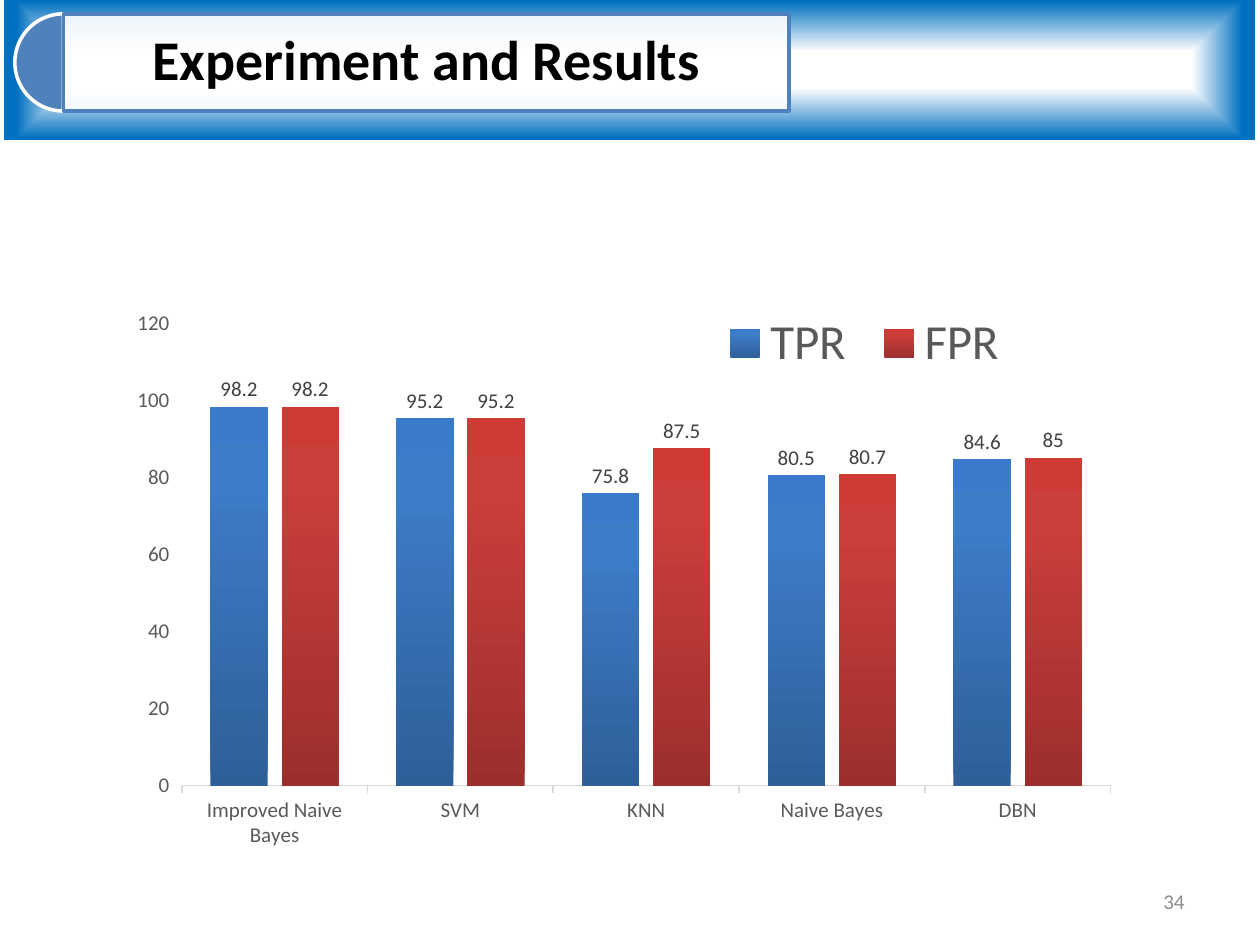
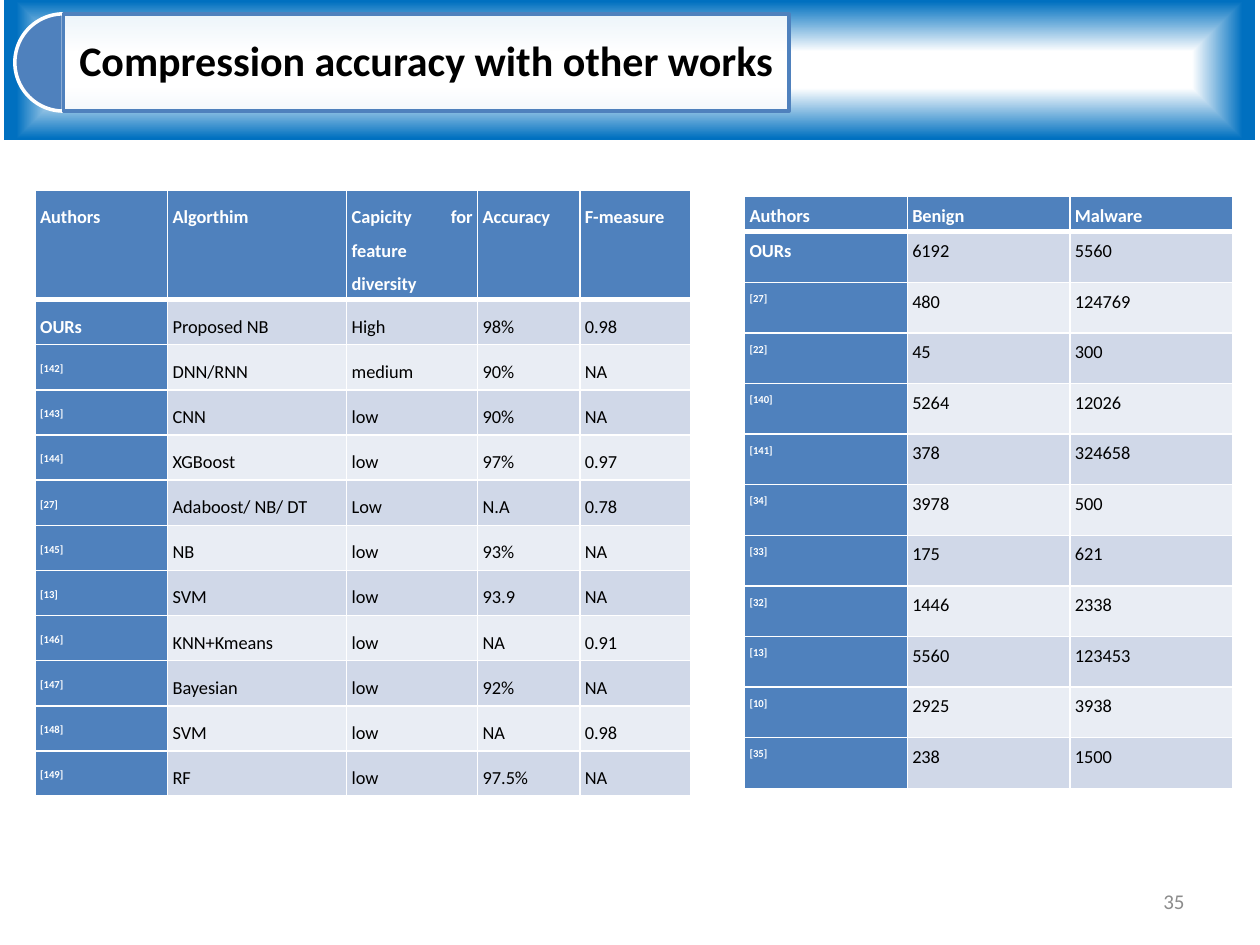
import pptx
import pptx.chart.data
import pptx.dml.color
import pptx.enum.chart
import pptx.enum.shapes
import pptx.enum.text
import pptx.oxml.ns
import pptx.oxml.xmlchemy
import pptx.util

Cm = pptx.util.Cm
Pt = pptx.util.Pt
qn = pptx.oxml.ns.qn
SHAPE = pptx.enum.shapes.MSO_SHAPE
ALIGN = pptx.enum.text.PP_ALIGN
MIDDLE = pptx.enum.text.MSO_ANCHOR.MIDDLE

FONT = "Calibri"
WHITE, BLACK, BLUE, SKY = "FFFFFF", "000000", "4F81BD", "0070C0"
GREY, DARK, PALE, RULE = "595959", "404040", "8C8C8C", "D9D9D9"
BANDS = ("D0D8E8", "E9EDF4")

BAND = (0.08, 0, 25.22, 2.82)
PAGE = (18.21, 17.65, 5.92, 1.02)
CHART = (2.31, 5.92, 22.56, 11.81)

RATES = {
    "TPR": ((98.2, 95.2, 75.8, 80.5, 84.6), ("2F5F99", "3D7CC7", "3A7CCB")),
    "FPR": ((98.2, 95.2, 87.5, 80.7, 85), ("9C2F2D", "CB3E3A", "CE3B37")),
}
MODELS = ("Improved Naive Bayes", "SVM", "KNN", "Naive Bayes", "DBN")

SCORES = (
    ("Authors", "Algorthim", "Capicity for feature diversity", "Accuracy", "F-measure"),
    ("OURs", "Proposed NB", "High", "98%", "0.98"),
    ("[142]", "DNN/RNN", "medium", "90%", "NA"),
    ("[143]", "CNN", "low", "90%", "NA"),
    ("[144]", "XGBoost", "low", "97%", "0.97"),
    ("[27]", "Adaboost/ NB/ DT", "Low", "N.A", "0.78"),
    ("[145]", "NB", "low", "93%", "NA"),
    ("[13]", "SVM", "low", "93.9", "NA"),
    ("[146]", "KNN+Kmeans", "low", "NA", "0.91"),
    ("[147]", "Bayesian", "low", "92%", "NA"),
    ("[148]", "SVM", "low", "NA", "0.98"),
    ("[149]", "RF", "low", "97.5%", "NA"),
)
SAMPLES = (
    ("Authors", "Benign", "Malware"),
    ("OURs", "6192", "5560"),
    ("[27]", "480", "124769"),
    ("[22]", "45", "300"),
    ("[140]", "5264", "12026"),
    ("[141]", "378", "324658"),
    ("[34]", "3978", "500"),
    ("[33]", "175", "621"),
    ("[32]", "1446", "2338"),
    ("[13]", "5560", "123453"),
    ("[10]", "2925", "3938"),
    ("[35]", "238", "1500"),
)


def rgb(code):
    return pptx.dml.color.RGBColor.from_string(code)


def lengths(*box):
    return [Cm(size) for size in box]


def node(tag, parent=None, **attrs):
    item = pptx.oxml.xmlchemy.OxmlElement(tag)
    for key, val in attrs.items():
        item.set(key, str(val))
    if parent is not None:
        parent.append(item)
    return item


def style(font, size, color, bold=False):
    font.name, font.size, font.bold = FONT, Pt(size), bold
    font.color.rgb = rgb(color)


def blend(props, stops, angle=None):
    grad = node("a:gradFill", rotWithShape=1)
    marks = node("a:gsLst", grad)
    for place, color in stops:
        stop = node("a:gs", marks, pos=place * 1000)
        node("a:srgbClr", stop, val=color)
    if angle is None:
        track = node("a:path", grad, path="rect")
        node("a:fillToRect", track, l=50000, t=50000, r=50000, b=50000)
    else:
        node("a:lin", grad, ang=angle * 60000, scaled=0)
    props.replace(props.find(qn("a:noFill")), grad)


def block(slide, kind, box, fill=None, line=None):
    shape = slide.shapes.add_shape(kind, *lengths(*box))
    shape.shadow.inherit = False
    if fill:
        shape.fill.solid()
        shape.fill.fore_color.rgb = rgb(fill)
    else:
        shape.fill.background()
    if line:
        shape.line.color.rgb = rgb(line)
        shape.line.width = Pt(2)
    else:
        shape.line.fill.background()
    return shape


def write(frame, text, size, color, align, bold=False):
    frame.text = text
    frame.word_wrap = True
    frame.vertical_anchor = MIDDLE
    line = frame.paragraphs[0]
    line.alignment = align
    style(line.runs[0].font, size, color, bold)
    return line


def inset(item, gap):
    item.margin_left = item.margin_right = Cm(gap)
    item.margin_top = item.margin_bottom = Cm(gap)


def add_band(slide, box):
    band = block(slide, SHAPE.RECTANGLE, box)
    blend(band._element.spPr, ((26, WHITE), (98, SKY)))


def add_title(slide, box, text, size, gap):
    left, top = box[0] + 0.22, box[1] + 0.28
    high = 1.96
    cap = block(slide, SHAPE.PIE, (left, top, high, high), BLUE, WHITE)
    cap.adjustments[0], cap.adjustments[1] = 54, 162
    plate = block(slide, SHAPE.RECTANGLE, (left + high / 2, top, 14.63, high), WHITE, BLUE)
    tint = plate._element.spPr.find(qn("a:solidFill"))[0]
    node("a:alpha", tint, val=90000)
    inset(plate.text_frame, gap)
    line = write(plate.text_frame, text, size, BLACK, ALIGN.CENTER, True)
    line.line_spacing = 0.9


def add_page(slide, box, number):
    label = slide.shapes.add_textbox(*lengths(*box))
    write(label.text_frame, str(number), 12, PALE, ALIGN.RIGHT)


def place(parent, index, box, inner=False):
    for old in parent.findall(qn("c:layout")):
        parent.remove(old)
    layout = node("c:layout")
    manual = node("c:manualLayout", layout)
    if inner:
        node("c:layoutTarget", manual, val="inner")
    for key in ("xMode", "yMode"):
        node("c:" + key, manual, val="edge")
    for key, val in zip("xywh", box):
        node("c:" + key, manual, val=val)
    parent.insert(index, layout)


def add_rates(slide, box):
    kinds = pptx.enum.chart
    data = pptx.chart.data.CategoryChartData()
    data.categories = MODELS
    for name, (vals, _) in RATES.items():
        data.add_series(name, vals)
    chart = slide.shapes.add_chart(
        kinds.XL_CHART_TYPE.COLUMN_CLUSTERED, *lengths(*box), data).chart
    style(chart.font, 10, BLACK)
    chart.has_title = False
    chart.has_legend = True
    legend = chart.legend
    legend.position = kinds.XL_LEGEND_POSITION.RIGHT
    legend.include_in_layout = False
    style(legend.font, 28, GREY)
    place(legend._element, 1, (0.53, 0.03, 0.28, 0.11))
    place(chart._chartSpace.chart.plotArea, 0, (0.06, 0.05, 0.83, 0.79), True)

    for axis in (chart.category_axis, chart.value_axis):
        axis.has_major_gridlines = False
        axis.major_tick_mark = kinds.XL_TICK_MARK.OUTSIDE
        style(axis.tick_labels.font, 12, GREY)
    chart.category_axis.format.line.color.rgb = rgb(RULE)
    chart.category_axis.format.line.width = Pt(1)
    scale = chart.value_axis
    scale.format.line.fill.background()
    scale.minimum_scale, scale.maximum_scale, scale.major_unit = 0, 120, 20

    plot = chart.plots[0]
    plot.gap_width, plot.overlap = 100, -24
    plot.vary_by_categories = False
    for bars, (_, shades) in zip(plot.series, RATES.values()):
        bars.format.fill.background()
        blend(bars._element.get_or_add_spPr(), zip((0, 80, 100), shades), 270)
        labels = bars.data_labels
        labels.show_value = True
        labels.position = kinds.XL_LABEL_POSITION.OUTSIDE_END
        style(labels.font, 12, DARK)


def edge(cell, row):
    props = cell._tc.get_or_add_tcPr()
    widths = {"L": 1, "R": 1, "T": 3 if row == 1 else 1, "B": 3 if row == 0 else 1}
    for side, width in widths.items():
        line = node("a:ln" + side, props, w=int(Pt(width)))
        node("a:srgbClr", node("a:solidFill", line), val=WHITE)


def add_grid(slide, spot, rows, widths, head, high, space, align):
    tall = head + high * (len(rows) - 1)
    table = slide.shapes.add_table(
        len(rows), len(widths), *lengths(*spot, sum(widths), tall)).table
    table.horz_banding = False
    for col, width in zip(table.columns, widths):
        col.width = Cm(width)
    for r, texts in enumerate(rows):
        table.rows[r].height = Cm(high if r else head)
        for c, text in enumerate(texts):
            cell = table.cell(r, c)
            key = r == 0 or c == 0
            inset(cell, 0.1)
            edge(cell, r)
            cell.fill.solid()
            cell.fill.fore_color.rgb = rgb(BLUE if key else BANDS[(r - 1) % 2])
            cell.text_frame.text = text
            line = cell.text_frame.paragraphs[0]
            line.alignment, line.line_spacing = align, space
            run = line.runs[0]
            style(run.font, 10.5, WHITE if key else BLACK, key)
            if text.startswith("["):
                run._r.get_or_add_rPr().set("baseline", "30000")


def add_slide(deck, number, title, size, gap, fill):
    slide = deck.slides.add_slide(deck.slide_layouts[6])
    add_band(slide, BAND)
    fill(slide)
    add_page(slide, PAGE, number)
    add_title(slide, BAND, title, size, gap)


def results(slide):
    add_rates(slide, CHART)


def compare(slide):
    add_grid(slide, (0.71, 3.84), SCORES, (2.67, 3.61, 2.64, 2.06, 2.24),
             1.57, 0.91, 1.5, ALIGN.JUSTIFY)
    add_grid(slide, (15.01, 3.96), SAMPLES, (3.28,) * 3,
             0.28, 1.02, 1.15, ALIGN.LEFT)


def main():
    deck = pptx.Presentation()
    deck.slide_width, deck.slide_height = lengths(25.4, 19.05)
    add_slide(deck, 34, "Experiment and Results", 32, 0.33, results)
    add_slide(deck, 35, "Compression accuracy with other works", 24, 0.25, compare)
    deck.save("out.pptx")


if __name__ == "__main__":
    main()
